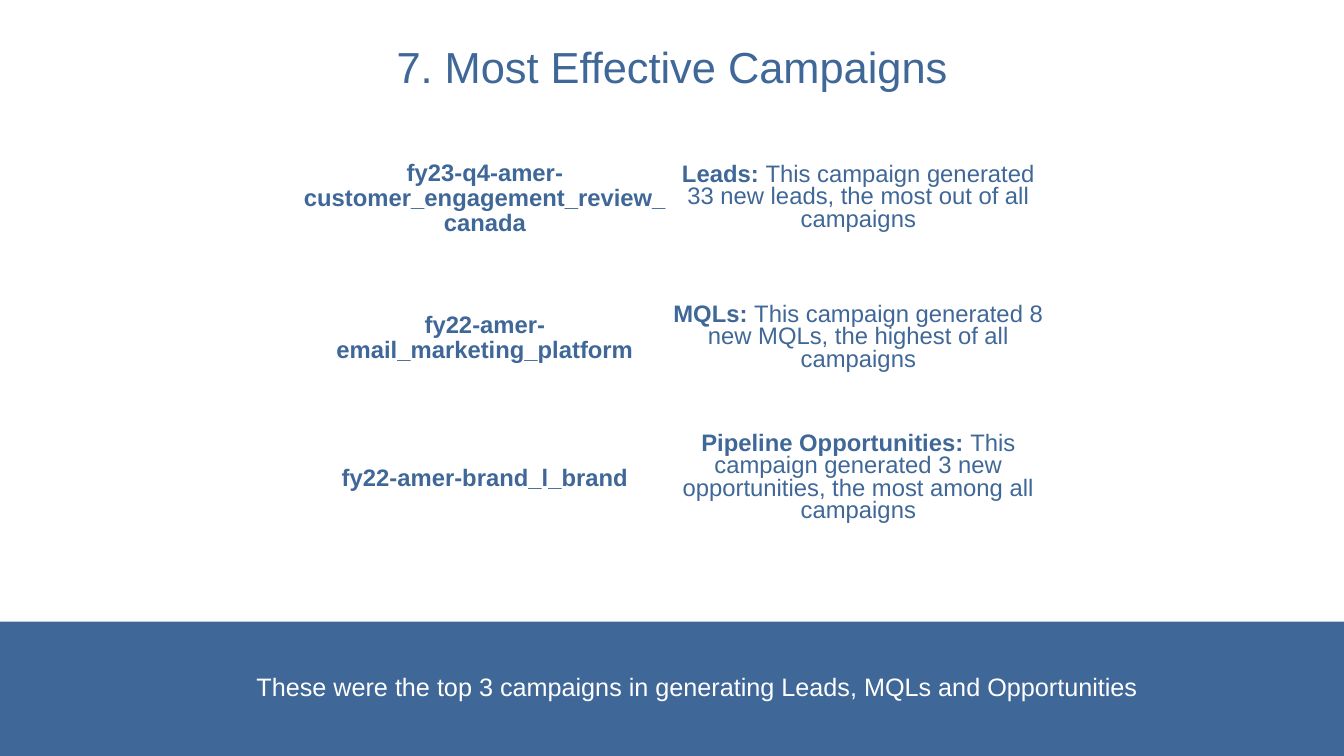
from lxml import etree
from pptx import Presentation
from pptx.dml.color import RGBColor
from pptx.enum.shapes import MSO_SHAPE
from pptx.enum.text import MSO_ANCHOR, PP_ALIGN
from pptx.oxml.ns import qn
from pptx.util import Pt

BLUE = RGBColor(0x3F, 0x67, 0x97)
WHITE = RGBColor(0xFF, 0xFF, 0xFF)
RECTANGLE = MSO_SHAPE.RECTANGLE
CENTER = PP_ALIGN.CENTER
MIDDLE = MSO_ANCHOR.MIDDLE

SLIDE_WIDTH, SLIDE_HEIGHT = 960, 540
CAMPAIGN_HEIGHT, SPACER_HEIGHT = 74, 33
CAMPAIGN_HEIGHTS = (CAMPAIGN_HEIGHT, 60, CAMPAIGN_HEIGHT)
BORDER_WIDTHS = {"a:lnL": 3, "a:lnR": 3, "a:lnT": 1, "a:lnB": 1}

# Campaign name, measure, result
CAMPAIGNS = [
    ("fy23-q4-amer-customer_engagement_review_canada", "Leads: ",
     "This campaign generated 33 new leads, the most out of all campaigns"),
    ("fy22-amer-email_marketing_platform", "MQLs: ",
     "This campaign generated 8 new MQLs, the highest of all campaigns"),
    ("fy22-amer-brand_l_brand", "Pipeline Opportunities: ",
     "This campaign generated 3 new opportunities, the most among all campaigns"),
]


def write(frame, text, bold_lead="", size=17, color=BLUE, bold=False,
          leading=18, before=0):
    """Fill a text frame with one centred paragraph, led by optional bold words."""
    paragraph = frame.paragraphs[0]
    paragraph.alignment = CENTER
    paragraph.line_spacing = Pt(leading)
    paragraph.space_before = Pt(before)
    for words, is_bold in ((bold_lead, True), (text, bold)):
        if words:
            run = paragraph.add_run()
            run.text = words
            run.font.name = "Arial"
            run.font.size = Pt(size)
            run.font.bold = is_bold
            run.font.color.rgb = color


def add_label(slide, left, top, width, height, text, **text_format):
    label = slide.shapes.add_textbox(Pt(left), Pt(top), Pt(width), Pt(height))
    frame = label.text_frame
    frame.word_wrap = True
    frame.margin_left = frame.margin_right = 0
    frame.margin_top = frame.margin_bottom = 0
    write(frame, text, **text_format)


def style_cell(cell):
    cell.margin_left = cell.margin_right = 0
    cell.margin_top = cell.margin_bottom = 0
    cell.vertical_anchor = MIDDLE
    cell.fill.solid()
    cell.fill.fore_color.rgb = WHITE


def add_borders(cell):
    properties = cell._tc.get_or_add_tcPr()
    for position, (edge, width) in enumerate(BORDER_WIDTHS.items()):
        line = etree.Element(qn(edge), w=str(Pt(width)))
        fill = etree.SubElement(line, qn("a:solidFill"))
        etree.SubElement(fill, qn("a:srgbClr"), val=str(WHITE))
        properties.insert(position, line)


def add_title(slide, left, top, width, height):
    add_label(slide, left, top, width, height, "7. Most Effective Campaigns",
              size=31, leading=40)


def add_campaigns(slide, left, top, width, height):
    # Spacer rows sit between the campaign rows
    row_count = 2 * len(CAMPAIGNS) - 1
    table = slide.shapes.add_table(row_count, 2, Pt(left), Pt(top),
                                   Pt(width), Pt(height)).table
    table.first_row = False
    table.horz_banding = False
    for column in table.columns:
        column.width = Pt(width / 2)
    for index, row in enumerate(table.rows):
        is_spacer = index % 2
        row.height = Pt(SPACER_HEIGHT if is_spacer else CAMPAIGN_HEIGHTS[index // 2])
        for cell in row.cells:
            style_cell(cell)
        name_cell, result_cell = row.cells
        add_borders(name_cell)
        if not is_spacer:
            name, measure, result = CAMPAIGNS[index // 2]
            write(name_cell.text_frame, name, bold=True)
            write(result_cell.text_frame, result, bold_lead=measure,
                  leading=16, before=6)


def add_summary_band(slide, left, top, width, height):
    band = slide.shapes.add_shape(RECTANGLE, Pt(left), Pt(top), Pt(width), Pt(height))
    band.shadow.inherit = False
    band.fill.solid()
    band.fill.fore_color.rgb = BLUE
    band.line.fill.background()
    add_label(slide, left + 176.4, top + 35, 643, 22,
              "These were the top 3 campaigns in generating Leads, MQLs and Opportunities",
              size=18, color=WHITE, leading=22)


def main():
    presentation = Presentation()
    presentation.slide_width = Pt(SLIDE_WIDTH)
    presentation.slide_height = Pt(SLIDE_HEIGHT)
    slide = presentation.slides.add_slide(presentation.slide_layouts[6])
    add_summary_band(slide, 0, 444, SLIDE_WIDTH, 96)
    add_campaigns(slide, 213, 105, 533.5, 274)
    add_title(slide, 0, 26, SLIDE_WIDTH, 39)
    presentation.save("out.pptx")


if __name__ == "__main__":
    main()
